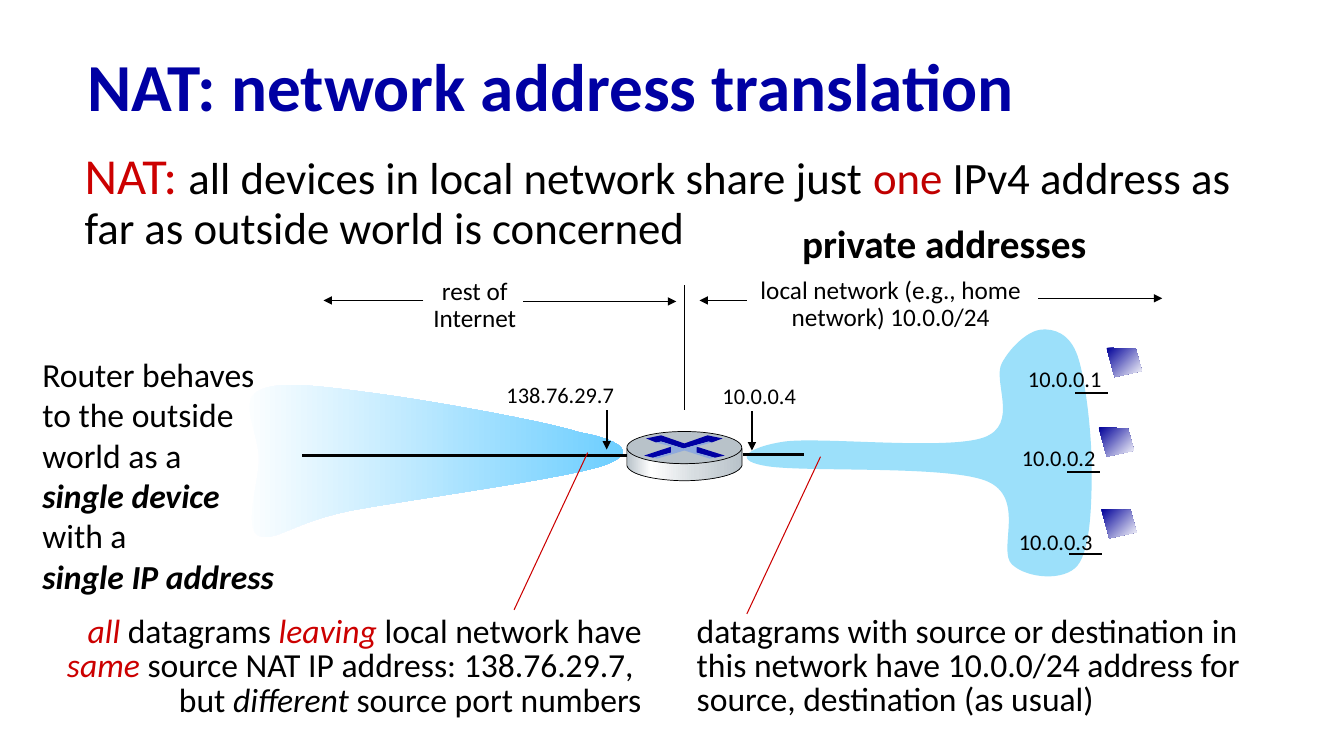
from copy import deepcopy
from lxml.etree import SubElement
from pptx import Presentation
from pptx.dml.color import RGBColor
from pptx.enum.shapes import MSO_CONNECTOR, MSO_SHAPE
from pptx.enum.text import MSO_ANCHOR, PP_ALIGN
from pptx.oxml.ns import qn
from pptx.util import Pt

BLACK, RED, NAVY, STEEL = "000000", "CC0000", "0000A3", "B8C2C9"
LEFT, CENTER, RIGHT = PP_ALIGN.LEFT, PP_ALIGN.CENTER, PP_ALIGN.RIGHT


def color(value):
    return RGBColor.from_string(value)


def draw_outline(start, segments, stops, angle=0, outlined=False):
    points = [pair for segment in segments for pair in zip(segment[::2], segment[1::2])]
    builder = page.shapes.build_freeform(Pt(start[0]), Pt(start[1]))
    builder.add_line_segments([(Pt(x), Pt(y)) for x, y in points], close=True)
    shape = builder.convert_to_shape()
    shape.shadow.inherit = False
    steps = iter(list(shape._element.iter(qn("a:lnTo"))))
    for segment in segments:
        step = next(steps)
        if len(segment) == 6:
            step.addprevious(curve := step.makeelement(qn("a:cubicBezTo")))
            for corner in (step, next(steps), next(steps)):
                curve.append(corner[0])
                corner.getparent().remove(corner)
    if len(stops) == 1:
        shape.fill.solid()
        shape.fill.fore_color.rgb = color(stops[0][1])
    else:
        shape.fill.gradient()
        shape.fill.gradient_angle = (360 - angle) % 360
        stop_list = next(shape._element.iter(qn("a:gsLst")))
        for extra in stops[2:]:
            stop_list.append(deepcopy(stop_list[0]))
        for stop, (position, value) in zip(shape.fill.gradient_stops, stops):
            stop.position = position
            stop.color.rgb = color(value)
    if outlined:
        shape.line.color.rgb = color(BLACK)
        shape.line.width = Pt(0.5)
    else:
        shape.line.fill.background()


deck = Presentation()
deck.slide_width, deck.slide_height = Pt(960), Pt(540)
page = deck.slides.add_slide(deck.slide_layouts[5])

title = page.shapes.title
title.left, title.top, title.width, title.height = Pt(55.5), Pt(22.3), Pt(828), Pt(84.2)
title.text_frame.text = "NAT: network address translation"
title.text_frame.vertical_anchor = MSO_ANCHOR.MIDDLE
para = title.text_frame.paragraphs[0]
para.alignment = LEFT
para.line_spacing = 0.9
para.font.name, para.font.size, para.font.bold = "Calibri", Pt(48), True
para.font.color.rgb = color(NAVY)

local_cloud = [
    (586.1, 311.8, 676.1, 321.8, 702.7, 312.5),
    (728.6, 303.1, 708.5, 272.2, 715.7, 259.2),
    (722.9, 246.2, 735.1, 236.2, 743.8, 235.4),
    (752.4, 234.7, 763.9, 237.6, 769.7, 254.2),
    (775.4, 270.7, 779.8, 309.6, 779.8, 334.8),
    (779.8, 360, 779, 392.4, 769.7, 403.9),
    (760.3, 415.4, 733.7, 413.3, 722.9, 403.2),
    (712.1, 393.1, 733.7, 355, 704.2, 343.4),
    (674.6, 331.9, 569.5, 337.7, 545.8, 332.6),
    (522, 328.3, 535.7, 319, 560.2, 315.4),
]
internet_cone = [
    (386.6, 300.2, 304.6, 285.8, 266.4, 280.8),
    (228.2, 275.8, 198, 271.4, 184.3, 279.4),
    (170.6, 286.6, 185, 310.3, 185, 327.6),
    (185, 344.9, 174.2, 375.8, 184.3, 382.3),
    (195.1, 388.1, 208.1, 373.7, 249.1, 365),
    (290.2, 357.1, 402.5, 342, 430.6, 332.6),
    (457.9, 323.3, 442.1, 313.9, 414, 308.9),
]
router_side = [
    (530, 332.6), (527, 340.6, 502.6, 343.4, 488.9, 343.4),
    (475.2, 343.4, 450, 340.6, 447.8, 332.6), (447.8, 320.4),
    (451.4, 327.6, 474.5, 331.2, 488.2, 331.2),
    (501.8, 331.2, 525.6, 327.6, 530, 320.4),
]
draw_outline((560.2, 315.4), local_cloud, [(0, "9CE0FA")])
draw_outline((414, 308.9), internet_cone, [(0, "FFFFFF"), (1, "66CCFF")])
draw_outline((530, 320.4), router_side,
             [(0, STEEL), (0.21, "FFFFFF"), (0.6, "D6DCE0"), (1, STEEL)], outlined=True)

router_top = page.shapes.add_shape(MSO_SHAPE.OVAL, Pt(447.8), Pt(308.2), Pt(82.1), Pt(23))
router_top.shadow.inherit = False
router_top.fill.solid()
router_top.fill.fore_color.rgb = color(STEEL)
router_top.line.color.rgb = color(BLACK)
router_top.line.width = Pt(0.5)

router_marks = [
    (NAVY, [(505.4, 311), (516.2, 313.2), (508.3, 316.1), (506.2, 315.4), (488.2, 320.4),
            (472.3, 315.4), (468.7, 316.1), (461.5, 313.2), (472.3, 311), (488.9, 316.8)]),
    (NAVY, [(497.5, 319), (517.7, 325.4), (510.5, 326.9), (496.8, 323.3)]),
    ("0000A8", [(479.5, 319), (479.5, 323.3), (466.6, 326.9), (460.1, 325.4)]),
    ("8FAADC", [(468.7, 316.1), (472.3, 315.4), (488.2, 320.4), (506.2, 315.4), (508.3, 316.1),
                (497.5, 319), (497.5, 323.3), (510.5, 326.9), (506.9, 327.6), (488.9, 321.8),
                (469.4, 327.6), (466.6, 326.9), (479.5, 323.3), (479.5, 319)]),
]
for fill, corners in router_marks:
    draw_outline(corners[0], corners[1:], [(0, fill)])

for x, y in [(790.4, 248.4), (784.8, 305.3), (786.6, 363.6)]:
    draw_outline((x, y), [(x + 20.9, y + 0.7), (x + 25.2, y + 16.6), (x + 5.8, y + 20.9)],
                 [(0, "000099"), (1, "FFFFFF")], angle=45)

lines = [
    (537.1, 293.8, 537.1, 321.8, BLACK, 1.5, True),
    (433.4, 293, 433.4, 321.1, BLACK, 1.5, True),
    (741.6, 213.1, 830.2, 213.1, BLACK, 0.75, True),
    (533.5, 214.6, 499.7, 214.6, BLACK, 0.75, True),
    (373.7, 215.3, 483.1, 215.3, BLACK, 0.75, True),
    (302.4, 214.6, 231.1, 214.6, BLACK, 0.75, True),
    (488.9, 203.8, 488.9, 293, BLACK, 0.75, False),
    (216, 325.4, 447.8, 325.4, BLACK, 2, False),
    (530.6, 324.7, 574.6, 324.7, BLACK, 2, False),
    (768.2, 280.8, 791.3, 280.8, BLACK, 1.5, False),
    (762.5, 337, 785.5, 337, BLACK, 1.5, False),
    (763.9, 396, 787, 396, BLACK, 1.5, False),
    (533.5, 438.5, 586.1, 326.2, RED, 0.75, False),
    (367.2, 435.6, 419.8, 323.3, RED, 0.75, False),
]
for x1, y1, x2, y2, stroke, width, arrow in lines:
    line = page.shapes.add_connector(MSO_CONNECTOR.STRAIGHT, Pt(x1), Pt(y1), Pt(x2), Pt(y2))
    line.line.color.rgb = color(stroke)
    line.line.width = Pt(width)
    if arrow:
        SubElement(line.line._get_or_add_ln(), qn("a:tailEnd"), type="triangle")
    SubElement(line._element.spPr, qn("a:effectLst"))

ip_labels = [
    ("10.0.0.1", 727.2, 257, 67.7), ("10.0.0.2", 722.9, 313.9, 67.7),
    ("10.0.0.3", 720.7, 373.7, 67.7), ("10.0.0.4", 509, 269.3, 67.7),
    ("138.76.29.7", 354.7, 268.6, 92.2),
]
texts = [(x, y, w, 28.1, False, 16, LEFT, 1, [[(text, {})]]) for text, x, y, w in ip_labels]
red_italic = {"color": RED, "italic": True}
bold_italic = {"bold": True, "italic": True}
texts += [
    (525.7, 194.7, 221, 44.6, True, 18, CENTER, 0.9,
     [[("local network (e.g., home network) 10.0.0/24", {})]]),
    (301.7, 195.6, 74.9, 48.2, False, 18, CENTER, 0.9, [[("rest of", {})], [("Internet", {})]]),
    (490.6, 436.3, 431.3, 81.4, True, 24, LEFT, 0.85,
     [[("datagrams with source or destination in this network have 10.0.0/24 address for  "
        "source, destination (as usual)", {})]]),
    (29.7, 436.6, 435.6, 81.4, True, 24, RIGHT, 0.85,
     [[("all ", red_italic), ("datagrams ", {}), ("leaving", red_italic),
       (" local network have ", {}), ("same ", red_italic),
       ("source NAT IP address: 138.76.29.7,  but ", {}), ("different", {"italic": True}),
       (" source port numbers", {})]]),
    (53.3, 104.4, 857.5, 81.4, True, 32, LEFT, 0.9,
     [[("NAT: ", {"color": RED, "size": 36}), ("all devices in local network share just ", {}),
       ("one", {"color": "C00000"}),
       (" IPv4 address as far as outside world is concerned", {})]]),
    (565.8, 152.9, 243, 41, True, 28, LEFT, 1, [[("private addresses", {"bold": True})]]),
    (23.2, 249.3, 182.9, 181.4, True, 24, LEFT, 1,
     [[("Router behaves to the outside world as a", {})],
      [("single device", bold_italic), (" with a", {})], [("single IP address", bold_italic)]]),
]
for left, top, width, height, wrap, size, align, spacing, paragraphs in texts:
    box = page.shapes.add_textbox(Pt(left), Pt(top), Pt(width), Pt(height))
    frame = box.text_frame
    frame.word_wrap = wrap
    for index, spans in enumerate(paragraphs):
        para = frame.add_paragraph() if index else frame.paragraphs[0]
        para.alignment = align
        para.line_spacing = spacing
        para.font.name, para.font.size = "Calibri", Pt(size)
        para.font.color.rgb = color(BLACK)
        for text, style in spans:
            span = para.add_run()
            span.text = text
            font = para.font if len(spans) == 1 else span.font
            if "color" in style:
                font.color.rgb = color(style["color"])
            if "size" in style:
                font.size = Pt(style["size"])
            font.bold = style.get("bold")
            font.italic = style.get("italic")

deck.save("out.pptx")
